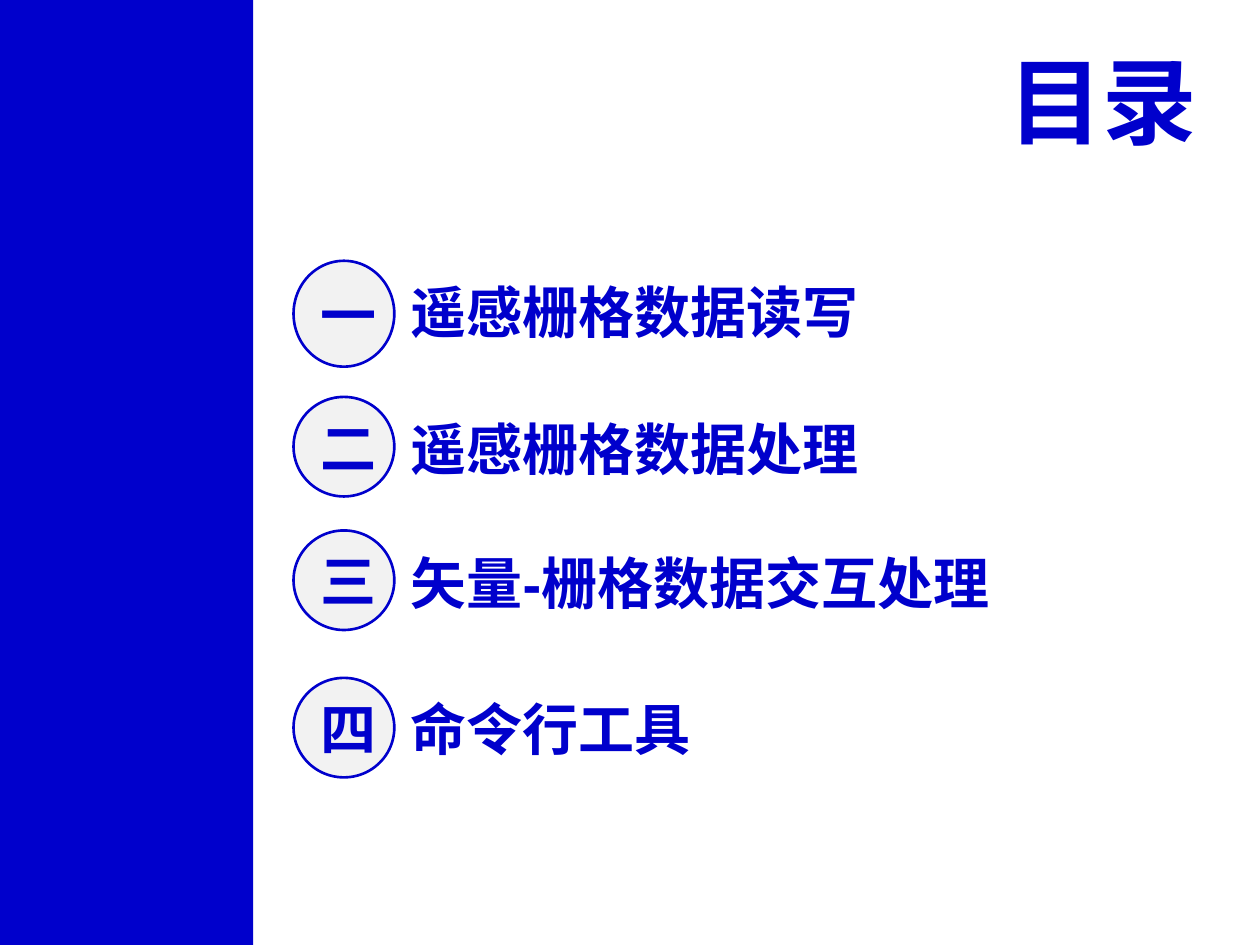
from pptx import Presentation
from pptx.dml.color import RGBColor
from pptx.enum.shapes import MSO_SHAPE as Shape
from pptx.enum.text import MSO_ANCHOR as Anchor, MSO_AUTO_SIZE as AutoSize, PP_ALIGN as Align
from pptx.util import Inches, Pt

BLUE = RGBColor(0x00, 0x00, 0xCC)
LIGHT_GREY = RGBColor(0xF2, 0xF2, 0xF2)


def set_text(box, text, size, font_name, align):
    frame = box.text_frame
    frame.text = text
    para = frame.paragraphs[0]
    para.alignment = align
    font = para.runs[0].font
    font.name, font.size, font.bold = font_name, Pt(size), True
    font.color.rgb = BLUE


deck = Presentation()
deck.slide_width, deck.slide_height = Inches(10), Inches(7.5)
page = deck.slides.add_slide(deck.slide_layouts[6])

# Side band
band = page.shapes.add_shape(Shape.RECTANGLE, 0, 0, Inches(2.01), deck.slide_height)
band.shadow.inherit = False
band.fill.solid()
band.fill.fore_color.rgb = BLUE
band.line.fill.background()

# Title
title = page.shapes.add_textbox(Inches(7.84), Inches(0.29), Inches(1.76), Inches(1.01))
set_text(title, "目录", 54, "Arial", Align.RIGHT)
title.text_frame.word_wrap = False
title.text_frame.auto_size = AutoSize.SHAPE_TO_FIT_TEXT

# Contents: number, heading, circle top, circle height, heading top, heading width
entries = [
    ("一", "遥感栅格数据读写", 2.07, 0.84, 2.15, 5.9),
    ("二", "遥感栅格数据处理", 3.15, 0.79, 3.24, 5.46),
    ("三", "矢量-栅格数据交互处理", 4.21, 0.79, 4.3, 5.58),
    ("四", "命令行工具", 5.38, 0.79, 5.46, 4.41),
]
for number, heading, circle_top, circle_height, heading_top, heading_width in entries:
    entry = page.shapes.add_group_shape()

    circle = entry.shapes.add_shape(
        Shape.OVAL, Inches(2.33), Inches(circle_top), Inches(0.8), Inches(circle_height))
    circle.shadow.inherit = False
    circle.fill.solid()
    circle.fill.fore_color.rgb = LIGHT_GREY
    circle.line.color.rgb = BLUE
    circle.line.width = Pt(1.5)
    set_text(circle, number, 32, "Noto Sans CJK SC", Align.CENTER)
    circle.text_frame.vertical_anchor = Anchor.MIDDLE

    label = entry.shapes.add_textbox(
        Inches(3.16), Inches(heading_top), Inches(heading_width), Inches(0.64))
    set_text(label, heading, 32, "Arial", Align.LEFT)
    label.text_frame.word_wrap = True
    label.text_frame.vertical_anchor = Anchor.MIDDLE
    label.text_frame.auto_size = AutoSize.SHAPE_TO_FIT_TEXT

deck.save("out.pptx")
